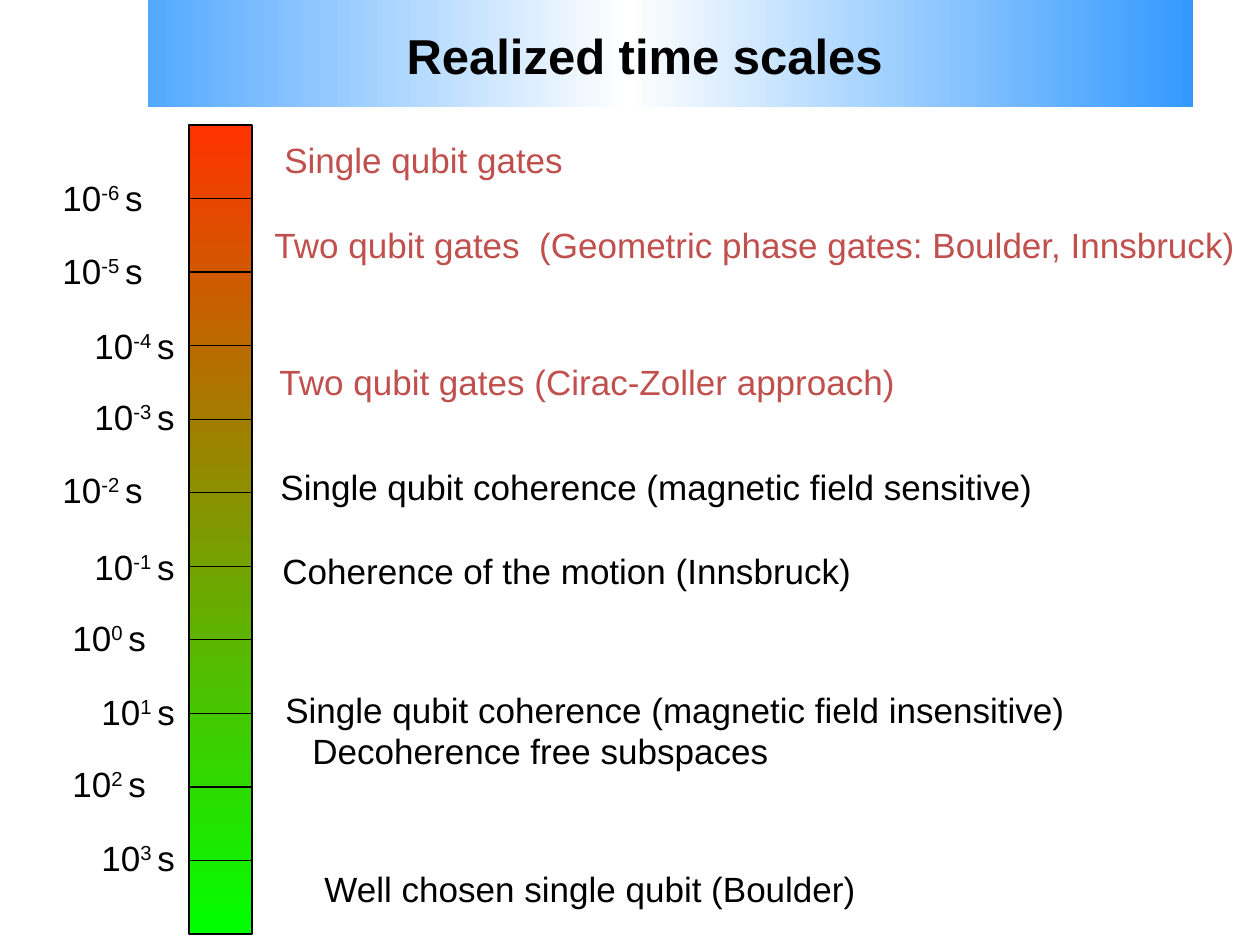
import copy
from dataclasses import dataclass

import lxml.etree
import pptx
import pptx.dml.color
import pptx.enum.shapes
import pptx.enum.text
import pptx.oxml.ns
import pptx.util

EMU_PER_PX = 914400 / 126
SLIDE_SIZE = (1260, 945)
TEXT_HEIGHT = 55


@dataclass(frozen=True)
class Theme:
    font: str = "Arial"
    text_size: int = 20
    title_size: int = 28
    line_width: float = 0.75
    ink: str = "000000"
    paper: str = "FFFFFF"
    gate: str = "C0504D"
    banner: str = "3399FF"
    fast: str = "FF3300"
    slow: str = "00FF00"


THEME = Theme()

# text, colour, left, top, width, height relative to the event area
EVENTS = [
    ("Single qubit gates", THEME.gate, 10, 7, 304, 97),
    ("Two qubit gates  (Geometric phase gates: Boulder, Innsbruck)",
     THEME.gate, 0, 92, 1051, TEXT_HEIGHT),
    ("Two qubit gates (Cirac-Zoller approach)", THEME.gate, 5, 229, 645, TEXT_HEIGHT),
    ("Single qubit coherence (magnetic field sensitive)",
     THEME.ink, 6, 334, 778, TEXT_HEIGHT),
    ("Coherence of the motion (Innsbruck)", THEME.ink, 8, 418, 596, TEXT_HEIGHT),
    ("Decoherence free subspaces", THEME.ink, 38, 598, 484, TEXT_HEIGHT),
    ("Single qubit coherence (magnetic field insensitive)",
     THEME.ink, 11, 557, 806, TEXT_HEIGHT),
    ("Well chosen single qubit (Boulder)", THEME.ink, 50, 736, 558, TEXT_HEIGHT),
]

# exponent, left, top relative to the label area
LABELS = [(-6, 0, 45), (-5, 0, 118), (-4, 32, 193), (-3, 32, 264), (-2, 0, 337),
          (-1, 32, 414), (0, 10, 485), (1, 39, 559), (2, 10, 631), (3, 39, 705)]


def px(length):
    return pptx.util.Emu(round(length * EMU_PER_PX))


def rgb(value):
    return pptx.dml.color.RGBColor.from_string(value)


def format_run(run, size, color, bold=False):
    run.font.name = THEME.font
    run.font.size = pptx.util.Pt(size)
    run.font.bold = bold
    run.font.color.rgb = rgb(color)


def add_text_box(slide, left, top, width, height):
    shape = slide.shapes.add_textbox(px(left), px(top), px(width), px(height))
    shape.text_frame.word_wrap = True
    return shape


def add_rectangle(slide, left, top, width, height):
    shape = slide.shapes.add_shape(pptx.enum.shapes.MSO_SHAPE.RECTANGLE,
                                   px(left), px(top), px(width), px(height))
    shape.shadow.inherit = False
    shape.line.fill.background()
    shape.fill.solid()
    shape.fill.fore_color.rgb = rgb(THEME.paper)
    return shape


def fill_gradient(shape, colors, angle):
    """Spread the colours evenly; the angle runs counter-clockwise."""
    shape.fill.gradient()
    shape.fill.gradient_angle = angle
    stop_list = shape.element.find(".//" + pptx.oxml.ns.qn("a:gsLst"))
    while len(stop_list) < len(colors):
        stop_list.append(copy.deepcopy(stop_list[0]))
    for index, (stop, color) in enumerate(zip(shape.fill.gradient_stops, colors)):
        stop.position = index / (len(colors) - 1)
        stop.color.rgb = rgb(color)


def build_banner(slide, left, top, width, height):
    """Gradient band with a white cover at its left end, and the title on top."""
    add_rectangle(slide, left + width - 139, top, 139, height)
    band = add_rectangle(slide, left + 60, top, 1133, height)
    fill_gradient(band, [THEME.banner, THEME.paper, THEME.banner], 0)
    add_rectangle(slide, left, top, 148, height)

    title = slide.shapes.title
    title.left, title.top = px(left + 394), px(top + 19)
    title.width, title.height = px(515), px(72)
    slide.shapes.element.append(title.element)  # bring in front of the band
    frame = title.text_frame
    frame.text = "Realized time scales"
    frame.auto_size = pptx.enum.text.MSO_AUTO_SIZE.NONE
    frame.vertical_anchor = pptx.enum.text.MSO_ANCHOR.MIDDLE
    paragraph = frame.paragraphs[0]
    paragraph.alignment = pptx.enum.text.PP_ALIGN.LEFT
    format_run(paragraph.runs[0], THEME.title_size, THEME.ink, bold=True)


def build_scale(slide, left, top, width, height):
    bar = add_rectangle(slide, left, top, width, height)
    fill_gradient(bar, [THEME.fast, THEME.slow], 270)
    bar.line.color.rgb = rgb(THEME.ink)
    bar.line.width = pptx.util.Pt(THEME.line_width)
    intervals = len(LABELS) + 1
    for index in range(1, intervals):
        y = px(top + height * index / intervals)
        tick = slide.shapes.add_connector(pptx.enum.shapes.MSO_CONNECTOR.STRAIGHT,
                                          px(left), y, px(left + width), y)
        tick.line.color.rgb = rgb(THEME.ink)
        tick.line.width = pptx.util.Pt(THEME.line_width)
        properties = tick.element.find(pptx.oxml.ns.qn("p:spPr"))
        lxml.etree.SubElement(properties, pptx.oxml.ns.qn("a:effectLst"))


def build_labels(slide, left, top):
    for exponent, x, y in LABELS:
        shape = add_text_box(slide, left + x, top + y, 108, TEXT_HEIGHT)
        paragraph = shape.text_frame.paragraphs[0]
        for text, baseline in (("10", 0), (f"{exponent} ", 30000), ("s", 0)):
            run = paragraph.add_run()
            run.text = text
            format_run(run, THEME.text_size, THEME.ink)
            if baseline:
                properties = run.font.fill._xPr
                properties.set("baseline", str(baseline))


def build_events(slide, left, top):
    for text, color, x, y, width, height in EVENTS:
        shape = add_text_box(slide, left + x, top + y, width, height)
        shape.text_frame.text = text
        format_run(shape.text_frame.paragraphs[0].runs[0], THEME.text_size, color)


def main():
    presentation = pptx.Presentation()
    presentation.slide_width, presentation.slide_height = map(px, SLIDE_SIZE)
    slide = presentation.slides.add_slide(presentation.slide_layouts[5])
    build_scale(slide, 189, 125, 63, 809)
    build_labels(slide, 50, 125)
    build_events(slide, 262, 125)
    build_banner(slide, 0, 0, 1260, 107)
    presentation.save("out.pptx")


if __name__ == "__main__":
    main()
